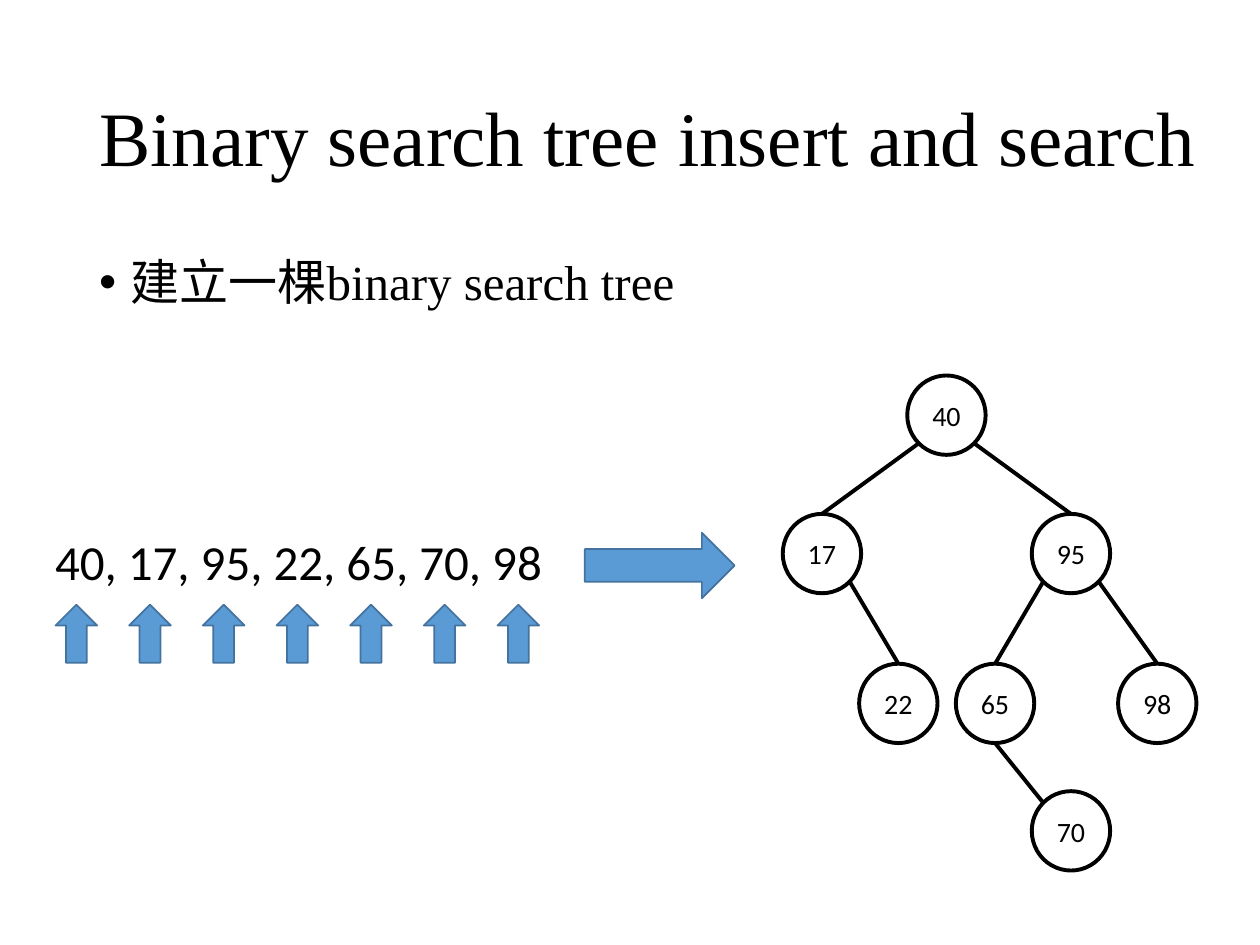
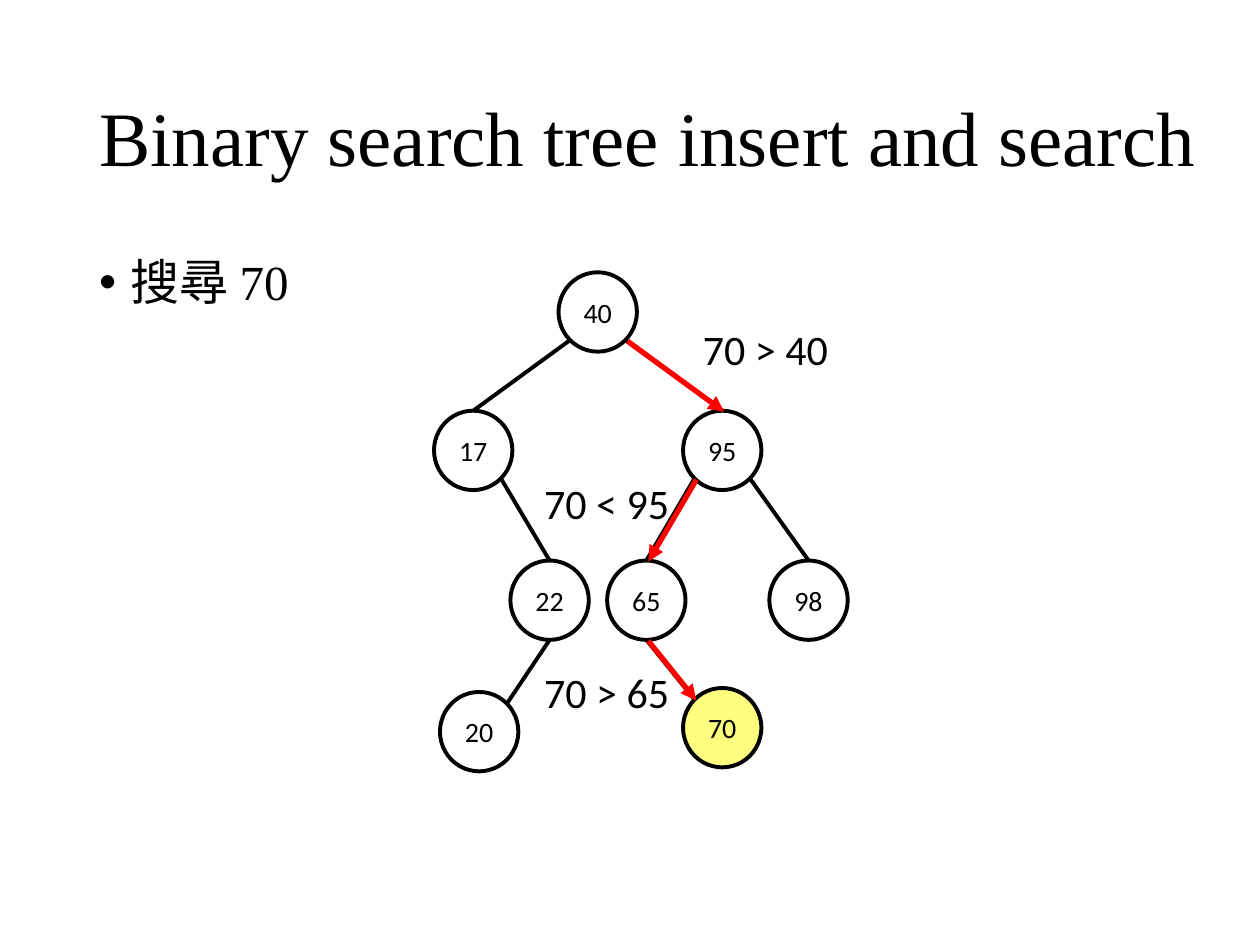
from dataclasses import dataclass

from lxml.etree import SubElement
from pptx import Presentation
from pptx.dml.color import RGBColor
from pptx.enum.shapes import MSO_CONNECTOR, MSO_SHAPE
from pptx.enum.text import MSO_ANCHOR, MSO_AUTO_SIZE, PP_ALIGN
from pptx.oxml.ns import qn
from pptx.util import Cm, Pt


@dataclass(frozen=True)
class Theme:
    ink = RGBColor(0, 0, 0)
    arrow_fill = RGBColor(0x5B, 0x9B, 0xD5)
    arrow_line = RGBColor(0x43, 0x73, 0x9E)
    path_red = RGBColor(0xFF, 0, 0)
    found_yellow = RGBColor(0xFF, 0xFF, 0)
    serif = "Times New Roman"
    sans = "Calibri"
    title_size = Pt(44)
    body_size = Pt(28)
    label_size = Pt(24)
    node_size = Pt(16)
    tree_line = Pt(2.25)
    path_line = Pt(3)


theme = Theme()


def write(shape, text, font, size, wrap=True):
    """Put one line of styled text in a shape and return its paragraph."""
    frame = shape.text_frame
    frame.word_wrap = wrap
    if not wrap:
        frame.auto_size = MSO_AUTO_SIZE.SHAPE_TO_FIT_TEXT
    para = frame.paragraphs[0]
    para.text = text
    para.font.name = font
    para.font.size = size
    para.font.color.rgb = theme.ink
    return para


def draw_line(page, ends, colour, width, arrow=False):
    """Draw a straight line between two points in cm, with an optional arrowhead."""
    line = page.shapes.add_connector(
        MSO_CONNECTOR.STRAIGHT, *[Cm(value) for point in ends for value in point])
    line.line.color.rgb = colour
    line.line.width = width
    properties = line._element.spPr
    if arrow:
        SubElement(properties.find(qn("a:ln")), qn("a:tailEnd"), type="triangle")
    SubElement(properties, qn("a:effectLst"))


# Node places in cm, measured from the root node
node_width, node_height = 1.58, 1.6
diagonal = 0.71
tree = {40: (0, 0), 17: (-2.51, 2.79), 95: (2.51, 2.79), 22: (-0.97, 5.81),
        65: (0.98, 5.81), 98: (4.25, 5.81), 70: (2.51, 8.38)}
parents = {17: 40, 95: 40, 22: 17, 65: 95, 98: 95, 70: 65}
bottom_row = (70, 20)

# Bullet, root place, nodes, parents, searched path, found node
pages = [
    ("建立一棵binary search tree", (18.29, 7.57), tree, parents, (), None),
    ("搜尋 70", (11.26, 5.49), tree | {20: (-2.39, 8.46)}, parents | {20: 22},
     (95, 65, 70), 70),
]

deck = Presentation()
deck.slide_width, deck.slide_height = Cm(25.4), Cm(19.05)

for bullet, (root_left, root_top), nodes, links, route, found in pages:
    page = deck.slides.add_slide(deck.slide_layouts[6])

    if found:
        left, top = nodes[found]
        halo = page.shapes.add_shape(
            MSO_SHAPE.OVAL, Cm(root_left + left + 0.03), Cm(root_top + top + 0.03),
            Cm(node_width), Cm(node_height))
        halo.shadow.inherit = False
        halo.fill.solid()
        halo.fill.fore_color.rgb = theme.found_yellow
        halo.line.fill.background()
        colour = halo._element.spPr.find(".//" + qn("a:srgbClr"))
        SubElement(colour, qn("a:alpha"), val="50000")

    body = page.shapes.add_textbox(Cm(1.75), Cm(5.08), Cm(21.9), Cm(12.95))
    para = write(body, bullet, theme.serif, theme.body_size)
    para.line_spacing = 0.9
    para.space_before = Pt(10)
    indents = para._p.get_or_add_pPr()
    indents.set("marL", str(Cm(0.64)))
    indents.set("indent", str(-Cm(0.64)))
    mark_font = SubElement(indents, qn("a:buFont"), typeface="Arial")
    mark = SubElement(indents, qn("a:buChar"), char="•")
    defaults = indents.find(qn("a:defRPr"))
    defaults.addprevious(mark_font)
    defaults.addprevious(mark)

    title = page.shapes.add_textbox(Cm(1.75), Cm(1.02), Cm(22.83), Cm(3.68))
    title.text_frame.vertical_anchor = MSO_ANCHOR.MIDDLE
    para = write(title, "Binary search tree insert and search",
                 theme.serif, theme.title_size)
    para.line_spacing = 0.9

    centres = {}
    for number, (left, top) in nodes.items():
        left, top = root_left + left, root_top + top
        centres[number] = (left + node_width / 2, top + node_height / 2)
        node = page.shapes.add_shape(
            MSO_SHAPE.OVAL, Cm(left), Cm(top), Cm(node_width), Cm(node_height))
        node.shadow.inherit = False
        node.fill.background()
        node.line.color.rgb = theme.ink
        node.line.width = theme.tree_line
        node.text_frame.vertical_anchor = MSO_ANCHOR.MIDDLE
        para = write(node, str(number), theme.sans, theme.node_size)
        para.alignment = PP_ALIGN.CENTER

    # Lines leave a node diagonally and enter from above; the bottom row swaps this
    edges = {}
    for child, parent in links.items():
        side = diagonal if centres[child][0] > centres[parent][0] else -diagonal
        if child in bottom_row:
            rims = (0, 1), (-side, -diagonal)
        else:
            rims = (side, diagonal), (0, -1)
        edges[child] = [
            (centres[number][0] + across * node_width / 2,
             centres[number][1] + down * node_height / 2)
            for number, (across, down) in zip((parent, child), rims)]
        draw_line(page, edges[child], theme.ink, theme.tree_line)

    for child in route:
        shifted = [(across + 0.04, down + 0.02) for across, down in edges[child]]
        draw_line(page, shifted, theme.path_red, theme.path_line, arrow=True)

building, searching = deck.slides

# Input sequence with one arrow under each number
sequence = building.shapes.add_textbox(Cm(0.86), Cm(10.59), Cm(10.49), Cm(1.45))
write(sequence, "40, 17, 95, 22, 65, 70, 98", theme.sans, theme.body_size, wrap=False)

arrows = [(MSO_SHAPE.RIGHT_ARROW, 11.79, 10.74, 3.02, 1.32)]
arrows += [(MSO_SHAPE.UP_ARROW, 1.12 + 1.485 * step, 12.19, 0.84, 1.17)
           for step in range(7)]
for kind, *place in arrows:
    arrow = building.shapes.add_shape(kind, *[Cm(value) for value in place])
    arrow.shadow.inherit = False
    arrow.fill.solid()
    arrow.fill.fore_color.rgb = theme.arrow_fill
    arrow.line.color.rgb = theme.arrow_line
    arrow.line.width = Pt(1)

# Comparisons along the searched path
for comparison, left, top in [("70 > 40", 13.92, 6.4), ("70 < 95", 10.72, 9.5),
                              ("70 > 65", 10.72, 13.31)]:
    label = searching.shapes.add_textbox(Cm(left), Cm(top), Cm(3.05), Cm(1.27))
    write(label, comparison, theme.sans, theme.label_size, wrap=False)

deck.save("out.pptx")
